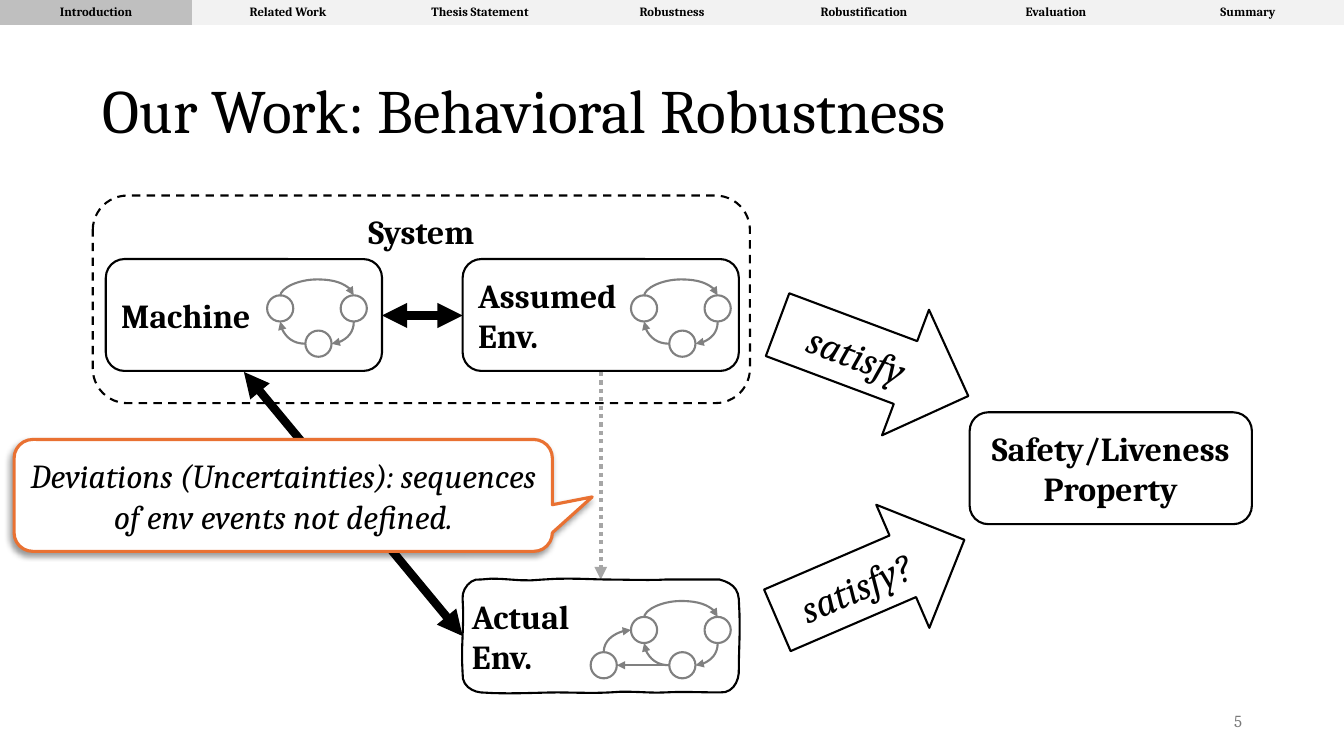
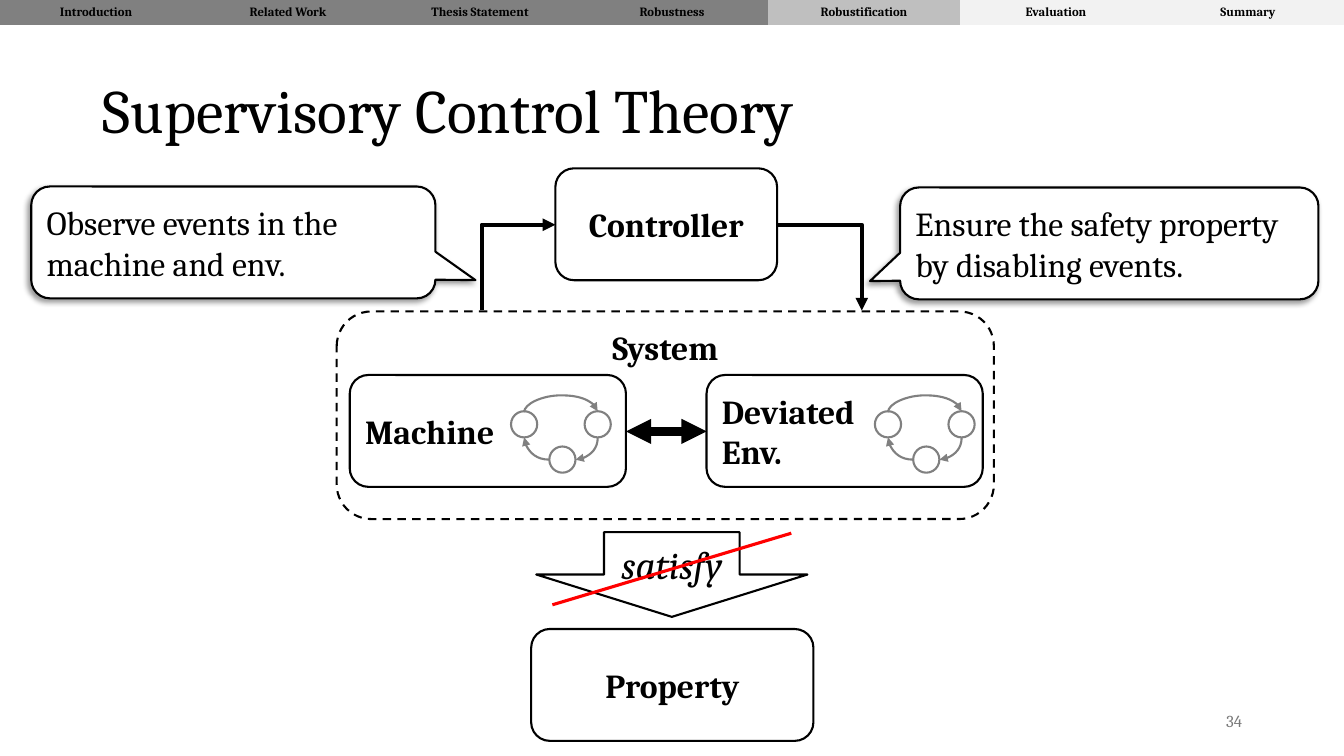
import pptx
import pptx.util
import pptx.dml.color
import pptx.enum.dml
import pptx.enum.shapes
import pptx.enum.text
import pptx.oxml
import pptx.oxml.ns
from lxml import etree

KIND = pptx.enum.shapes.MSO_SHAPE
WIRE = pptx.enum.shapes.MSO_CONNECTOR
DASH = pptx.enum.dml.MSO_LINE
ALIGN = pptx.enum.text.PP_ALIGN
ANCHOR = pptx.enum.text.MSO_ANCHOR
NO_GRID = "{2D5ABB26-0587-4C30-8999-92F81FD0307C}"
STEPS = ["Introduction", "Related Work", "Thesis Statement", "Robustness",
         "Robustification", "Evaluation", "Summary"]
BOX_W, BOX_H = 274, 111
DOT = 26
TOP, LEFT, BOTTOM, RIGHT = 0, 2, 4, 6
ROUGH = [
    (-1, 10, 8, -2, 18, 0), (39, -3, 54, 3, 80, 0), (105, -2, 129, 0, 144, 0),
    (159, 0, 189, 1, 201, 0), (212, 0, 240, 0, 255, 0), (266, 3, 273, 8, 274, 19),
    (276, 51, 274, 66, 274, 93), (273, 103, 267, 113, 255, 112),
    (237, 112, 216, 111, 201, 112), (185, 113, 166, 110, 146, 112),
    (126, 113, 111, 112, 94, 112), (77, 112, 44, 114, 18, 112),
    (9, 111, -1, 105, 0, 93), (-2, 67, 2, 44, 0, 19),
]


def px(n):
    return pptx.util.Emu(round(n * 9144))


def color(code):
    return pptx.dml.color.RGBColor.from_string(code)


def child(node, tag, **attrs):
    item = etree.SubElement(node, pptx.oxml.ns.qn(tag))
    for key, value in attrs.items():
        item.set(key, str(value))
    return item


def bend(start, curves, count=6):
    dots = [start]
    for ax, ay, bx, by, ex, ey in curves:
        sx, sy = dots[-1]
        for step in range(1, count + 1):
            t = step / count
            u = 1 - t
            mix = (u ** 3, 3 * u * u * t, 3 * u * t * t, t ** 3)
            dots.append((sum(m * v for m, v in zip(mix, (sx, ax, bx, ex))),
                         sum(m * v for m, v in zip(mix, (sy, ay, by, ey)))))
    return dots


class Deck:
    font = "Cambria"
    ink = "000000"
    gray = "808080"
    white = "FFFFFF"

    def __init__(self):
        self.show = pptx.Presentation()
        self.show.slide_width = px(1333.33)
        self.show.slide_height = px(750)

    def page(self, title, number):
        self.slide = self.show.slides.add_slide(self.show.slide_layouts[6])
        self.ungroup()
        self.label(92, 40, 1150, 145, title, 44).line_spacing = 0.9
        self.label(942, 695, 300, 40, number, 12, ALIGN.RIGHT, "797979")

    def group(self):
        self.into = self.slide.shapes.add_group_shape().shapes

    def ungroup(self):
        self.into = self.slide.shapes

    def style(self, para, size, tint=ink, bold=False, italic=False, align=ALIGN.LEFT):
        para.alignment = align
        font = para.font
        font.name, font.size = self.font, pptx.util.Pt(size)
        font.bold, font.italic = bold, italic
        font.color.rgb = color(tint)

    def label(self, x, y, w, h, text, size, align=ALIGN.LEFT, tint=ink):
        frame = self.into.add_textbox(px(x), px(y), px(w), px(h)).text_frame
        frame.word_wrap = True
        frame.vertical_anchor = ANCHOR.MIDDLE
        para = frame.paragraphs[0]
        para.text = text
        self.style(para, size, tint, align=align)
        return para

    def words(self, shape, text, size=24, bold=True, italic=False,
              align=ALIGN.CENTER, anchor=ANCHOR.MIDDLE):
        frame = shape.text_frame
        frame.word_wrap = True
        frame.vertical_anchor = anchor
        for i, line in enumerate(text.split("\n")):
            para = frame.add_paragraph() if i else frame.paragraphs[0]
            para.text = line
            self.style(para, size, bold=bold, italic=italic, align=align)

    def pen(self, line, tint, width, dash=None):
        line.color.rgb = color(tint)
        line.width = pptx.util.Pt(width)
        if dash:
            line.dash_style = dash

    def paint(self, shape, tint=ink, width=1.5, dash=None):
        shape.shadow.inherit = False
        shape.fill.solid()
        shape.fill.fore_color.rgb = color(self.white)
        self.pen(shape.line, tint, width, dash)
        return shape

    def shape(self, kind, x, y, w, h, **look):
        return self.paint(self.into.add_shape(kind, px(x), px(y), px(w), px(h)), **look)

    def box(self, x, y, w, text, align=ALIGN.CENTER):
        item = self.shape(KIND.ROUNDED_RECTANGLE, x, y, w, BOX_H)
        self.words(item, text, align=align)
        return item

    def rough(self, x, y, text):
        dots = [(px(x + u), px(y + v)) for u, v in bend((0, 19), ROUGH)]
        form = self.into.build_freeform(*dots[0])
        form.add_line_segments(dots[1:], close=True)
        self.words(self.paint(form.convert_to_shape()), text, align=ALIGN.LEFT)

    def arrow(self, kind, x, y, w, h, text, turn=0):
        item = self.shape(kind, x, y, w, h)
        item.rotation = turn
        self.words(item, text, 28, bold=False, italic=True)

    def callout(self, x, y, w, text, tip, tint=ink, width=1.5, **look):
        item = self.shape(KIND.ROUNDED_RECTANGULAR_CALLOUT, x, y, w, BOX_H,
                          tint=tint, width=width)
        for i, value in enumerate((*tip, 0.167)):
            item.adjustments[i] = value
        glow = item._element.spPr.find(pptx.oxml.ns.qn("a:effectLst"))
        cast = child(glow, "a:outerShdw", blurRad=50800, dist=38100, dir=8100000,
                     algn="tr", rotWithShape=0)
        child(child(cast, "a:srgbClr", val=self.ink), "a:alpha", val=40000)
        self.words(item, text, bold=False, **look)

    def line(self, start, end, tint=ink, width=6, dash=None, head=False, tail=True,
             kind=WIRE.STRAIGHT):
        wire = self.into.add_connector(kind, *map(px, (*start, *end)))
        self.pen(wire.line, tint, width, dash)
        for on, tag in ((head, "a:headEnd"), (tail, "a:tailEnd")):
            if on:
                child(wire.line._ln, tag, type="triangle")
        child(wire._element.spPr, "a:effectLst")
        return wire

    def route(self, form, start, end, upright, first=None, last=None, lift=None, **look):
        dx, dy = end[0] - start[0], end[1] - start[1]
        mx, my = (start[0] + end[0]) / 2, (start[1] + end[1]) / 2
        w, h = (abs(dy), abs(dx)) if upright else (abs(dx), abs(dy))
        flips = (dy < 0, dx > 0) if upright else (dx < 0, dy < 0)
        kind = WIRE.CURVE if form.startswith("curved") else WIRE.ELBOW
        wire = self.line((mx - w / 2, my - h / 2), (mx + w / 2, my + h / 2),
                         kind=kind, **look)
        props = wire._element.spPr
        frame = props.find(pptx.oxml.ns.qn("a:xfrm"))
        if upright:
            frame.set("rot", "5400000")
        for name, on in zip(("flipH", "flipV"), flips):
            if on:
                frame.set(name, "1")
        geom = props.find(pptx.oxml.ns.qn("a:prstGeom"))
        geom.set("prst", form)
        if lift:
            child(geom.find(pptx.oxml.ns.qn("a:avLst")), "a:gd", name="adj1",
                  fmla=f"val {lift * 100000}")
        if first:
            wire._connect_begin_to(*first)
        if last:
            wire._connect_end_to(*last)

    def link(self, first, last, form="curvedConnector2", **look):
        (a, (ax, ay), out), (b, (bx, by), to) = first, last
        shift = {TOP: (13, 0), LEFT: (0, 13), BOTTOM: (13, DOT), RIGHT: (DOT, 13)}
        start = (ax + shift[out][0], ay + shift[out][1] + (1 if "lift" in look else 0))
        end = (bx + shift[to][0], by + shift[to][1])
        self.route(form, start, end, out in (TOP, BOTTOM), (a, out), (b, to),
                   tint=self.gray, width=1.5, **look)

    def loop(self, x, y, extra=False):
        spots = [(x, y), (x + 73, y), (x + 38, y + 35)]
        if extra:
            spots.append((x - 40, y + 35))
        dots = [(self.shape(KIND.OVAL, *at, DOT, DOT, tint=self.gray), at) for at in spots]
        a, b, c = dots[:3]
        self.link((*a, TOP), (*b, TOP), "curvedConnector3", lift=17)
        self.link((*b, BOTTOM), (*c, RIGHT))
        self.link((*c, LEFT), (*a, BOTTOM))
        if extra:
            d = dots[3]
            self.link((*c, LEFT), (*d, RIGHT), "curvedConnector3")
            self.link((*d, TOP), (*a, LEFT))

    def system(self, x, y, env):
        frame = self.shape(KIND.ROUNDED_RECTANGLE, x, y, 652, 206, dash=DASH.DASH)
        self.words(frame, "System", anchor=ANCHOR.TOP)
        top = y + 63
        for left, name, gap in ((x + 13, "Machine", 160), (x + 367, env, 167)):
            self.group()
            self.box(left, top, BOX_W, name, ALIGN.LEFT)
            self.loop(left + gap, top + 36)
            self.ungroup()
        self.line((x + 287, top + 56), (x + 367, top + 56), head=True)

    def table(self, now):
        grid = self.into.add_table(1, len(STEPS), 0, 0, self.show.slide_width, px(25))
        table = grid.table
        table.first_row = table.horz_banding = False
        table._tbl.tblPr.find(pptx.oxml.ns.qn("a:tableStyleId")).text = NO_GRID
        for i, name in enumerate(STEPS):
            cell = table.cell(0, i)
            cell.text = name
            cell.fill.solid()
            shade = self.gray if i < now else "BFBFBF" if i == now else "F2F2F2"
            cell.fill.fore_color.rgb = color(shade)
            self.style(cell.text_frame.paragraphs[0], 9, bold=True, align=ALIGN.CENTER)


def work(deck):
    deck.page("Our Work: Behavioral Robustness", "5")
    deck.system(92, 194, "Assumed\nEnv.")
    deck.box(962, 409, 280, "Safety/Liveness Property")
    deck.line((242, 369), (459, 631), head=True)
    deck.arrow(KIND.RIGHT_ARROW, 765, 291, 202, 133, "satisfy", 20.5)
    deck.line((596, 369), (596, 575), "A6A6A6", 3, DASH.ROUND_DOT)
    deck.callout(14, 436, 534,
                 "Deviations (Uncertainties): sequences of env events not defined.",
                 (0.574, 0.014), "E97132", 2.25, italic=True)
    deck.arrow(KIND.RIGHT_ARROW, 763, 509, 202, 133, "satisfy?", 336.7)
    deck.group()
    deck.rough(459, 575, "Actual\nEnv.")
    deck.loop(626, 612, extra=True)
    deck.ungroup()
    deck.table(0)


def theory(deck):
    deck.page("Supervisory Control Theory", "34")
    deck.system(334, 309, "Deviated\nEnv.")
    deck.box(527, 624, 280, "Property")
    deck.arrow(KIND.DOWN_ARROW, 532, 528, 269, 84, "satisfy")
    hub = deck.box(551, 167, 220, "Controller")
    deck.route("bentConnector2", (478, 308), (551, 223), True, last=(hub, 1), width=3)
    deck.route("bentConnector2", (771, 223), (855, 308), False, first=(hub, 3), width=3)
    deck.callout(31, 185, 401, "Observe events in the machine and env.",
                 (0.599, 0.337), align=ALIGN.LEFT)
    deck.callout(893, 186, 415, "Ensure the safety property by disabling events.",
                 (-0.572, 0.337), align=ALIGN.LEFT)
    deck.line((785, 529), (548, 600), "FF0000", 2.25, tail=False)
    deck.table(4)


def main():
    deck = Deck()
    work(deck)
    theory(deck)
    deck.show.save("out.pptx")


if __name__ == "__main__":
    main()
